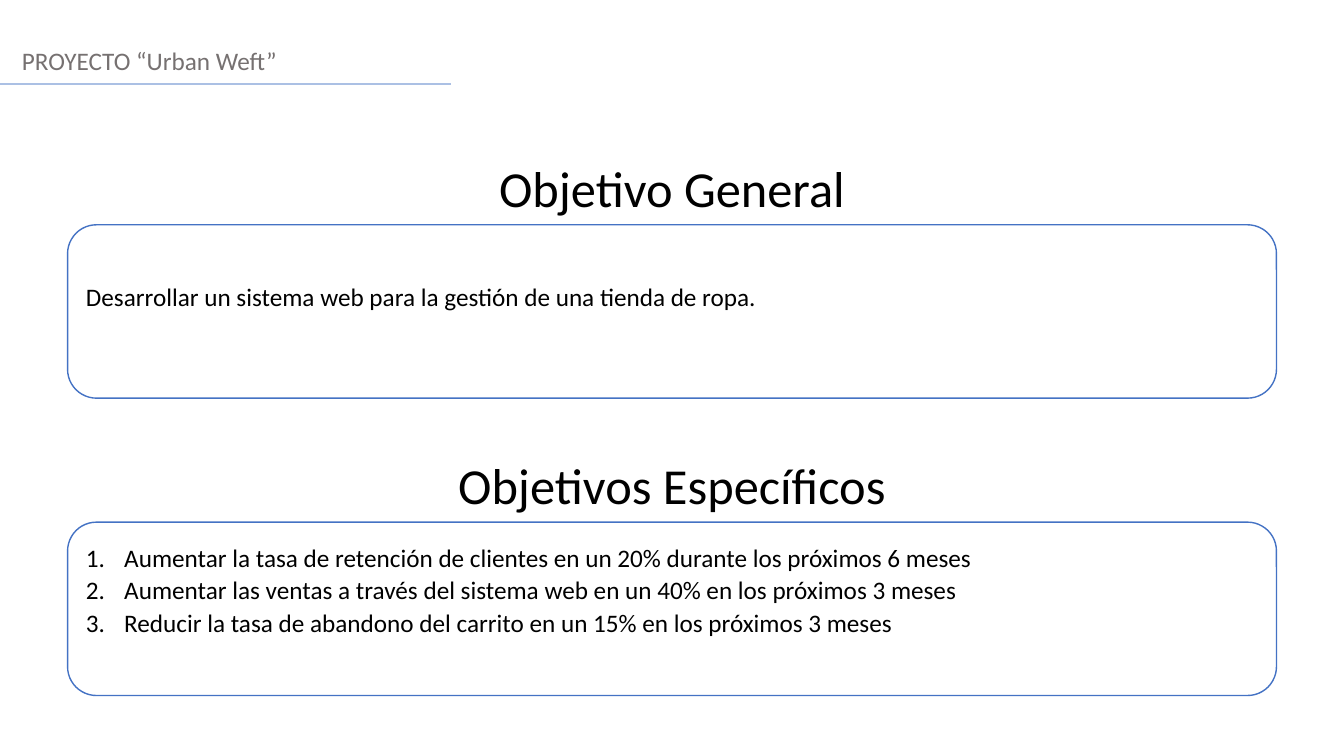
from dataclasses import dataclass

from lxml import etree
from pptx import Presentation
from pptx.dml.color import RGBColor
from pptx.enum.shapes import MSO_CONNECTOR, MSO_SHAPE
from pptx.enum.text import MSO_ANCHOR, MSO_AUTO_SIZE, PP_ALIGN
from pptx.oxml.ns import qn
from pptx.util import Inches, Pt

ROUND = MSO_SHAPE.ROUNDED_RECTANGLE
STRAIGHT = MSO_CONNECTOR.STRAIGHT
TOP, MIDDLE = MSO_ANCHOR.TOP, MSO_ANCHOR.MIDDLE
LEFT, CENTER = PP_ALIGN.LEFT, PP_ALIGN.CENTER
NO_FIT = MSO_AUTO_SIZE.NONE

BLACK = RGBColor(0x00, 0x00, 0x00)
WHITE = RGBColor(0xFF, 0xFF, 0xFF)
GREY = RGBColor(0x76, 0x71, 0x71)
BLUE = RGBColor(0x44, 0x72, 0xC4)
PALE = RGBColor(0xAB, 0xC0, 0xE4)

FONT = "Calibri"
WIDTH = 13.33


@dataclass
class Goal:
    title: str
    top: float
    lines: list[str]
    foot: float  # bottom inset that lifts the text above the middle
    listed: bool = False


GOALS = [
    Goal("Objetivo General", 1.51,
         ["Desarrollar un sistema web para la gestión de una tienda de ropa."], 0.35),
    Goal("Objetivos Específicos", 4.46,
         ["Aumentar la tasa de retención de clientes en un 20% durante los próximos 6 meses",
          "Aumentar las ventas a través del sistema web en un 40% en los próximos 3 meses",
          "Reducir la tasa de abandono del carrito en un 15% en los próximos 3 meses"],
         0.45, listed=True),
]


def place(shape, left: float, top: float, width: float, height: float) -> None:
    shape.left, shape.top = Inches(left), Inches(top)
    shape.width, shape.height = Inches(width), Inches(height)


def write(shape, lines: list[str], size: int, color: RGBColor,
          align=LEFT, anchor=TOP) -> None:
    frame = shape.text_frame
    frame.text = "\n".join(lines)
    frame.word_wrap = True
    frame.auto_size = NO_FIT
    frame.vertical_anchor = anchor
    for para in frame.paragraphs:
        para.alignment = align
        para.font.name = FONT
        para.font.size = Pt(size)
        para.font.color.rgb = color


def number(para) -> None:
    para.line_spacing = 1.07
    props = para._p.get_or_add_pPr()
    props.set("marL", str(Inches(0.38)))
    props.set("indent", str(Inches(-0.38)))
    mark = etree.Element(qn("a:buAutoNum"), type="arabicPeriod")
    # Bullets come after spacing and before the run defaults
    props.find(qn("a:defRPr")).addprevious(mark)


def add_text(slide, left: float, top: float, height: float):
    return slide.shapes.add_textbox(
        Inches(left), Inches(top), Inches(WIDTH), Inches(height))


def add_box(slide, goal: Goal) -> None:
    box = slide.shapes.add_shape(
        ROUND, Inches(0.67), Inches(goal.top + 0.72), Inches(11.99), Inches(1.72))
    box.shadow.inherit = False
    box.fill.solid()
    box.fill.fore_color.rgb = WHITE
    box.line.color.rgb = BLUE
    box.line.width = Pt(1)
    write(box, goal.lines, 18, BLACK, anchor=MIDDLE)
    box.text_frame.margin_bottom = Inches(goal.foot)
    if goal.listed:
        for para in box.text_frame.paragraphs:
            number(para)


def add_rule(slide) -> None:
    rule = slide.shapes.add_connector(
        STRAIGHT, 0, Inches(0.83), Inches(4.47), Inches(0.83))
    rule.line.color.rgb = PALE
    rule.line.width = Pt(1.25)
    etree.SubElement(rule._element.spPr, qn("a:effectLst"))


def main() -> None:
    deck = Presentation()
    deck.slide_width, deck.slide_height = Inches(WIDTH), Inches(7.5)
    slide = deck.slides.add_slide(deck.slide_layouts[5])

    # Project header
    write(add_text(slide, 0.12, 0.4, 0.4), ["PROYECTO “Urban Weft”"], 18, GREY)
    add_rule(slide)

    # Goals: the first heading is the slide title
    for i, goal in enumerate(GOALS):
        head = add_text(slide, 0, goal.top, 0.71) if i else slide.shapes.title
        place(head, 0, goal.top, WIDTH, 0.71)
        write(head, [goal.title], 36, BLACK, CENTER)
        add_box(slide, goal)

    deck.save("out.pptx")


if __name__ == "__main__":
    main()
